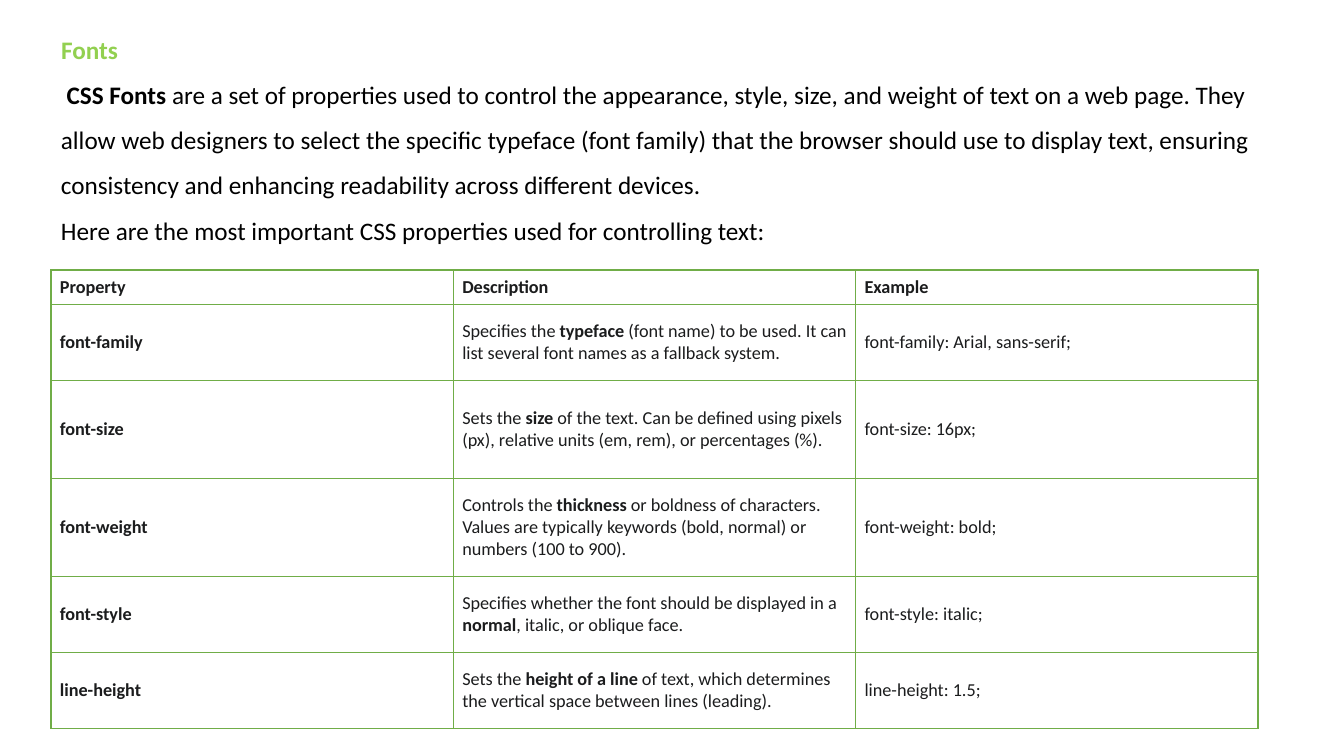
import pptx
import pptx.util
import pptx.dml.color
import pptx.enum.text
import pptx.oxml
import pptx.oxml.ns

TITLE = "Fonts"
INTRO = [
    " **CSS Fonts** are a set of properties used to control the appearance, style, size, "
    "and weight of text on a web page. They allow web designers to select the specific "
    "typeface (font family) that the browser should use to display text, ensuring "
    "consistency and enhancing readability across different devices.",
    "Here are the most important CSS properties used for controlling text:",
]
ROWS = [
    (34, "**Property**", "**Description**", "**Example**"),
    (76, "**font-family**",
     "Specifies the **typeface** (font name) to be used. It can list several font names "
     "as a fallback system.", "font-family: Arial, sans-serif;"),
    (98, "**font-size**",
     "Sets the **size** of the text. Can be defined using pixels (px), relative units "
     "(em, rem), or percentages (%).", "font-size: 16px;"),
    (98, "**font-weight**",
     "Controls the **thickness** or boldness of characters. Values are typically keywords "
     "(bold, normal) or numbers (100 to 900).", "font-weight: bold;"),
    (76, "**font-style**",
     "Specifies whether the font should be displayed in a **normal**, italic, or oblique "
     "face.", "font-style: italic;"),
    (76, "**line-height**",
     "Sets the **height of a line** of text, which determines the vertical space between "
     "lines (leading).", "line-height: 1.5;"),
]

FONT = "Calibri"
LIME = pptx.dml.color.RGBColor(0x92, 0xD0, 0x50)
GREEN = pptx.dml.color.RGBColor(0x70, 0xAD, 0x47)
BLACK = pptx.dml.color.RGBColor(0, 0, 0)
INK = pptx.dml.color.RGBColor(0x1B, 0x1C, 0x1D)

SLIDE_W, SLIDE_H = 1344, 756
LEFT, TITLE_TOP, TEXT_W = 51, 14, 1259
LINE_H, INTRO_H = 45, 192
TABLE_TOP, TABLE_W = 270, 1207
CELL = {"margin_left": 9, "margin_right": 9, "margin_top": 6, "margin_bottom": 6}


def px(n):
    return round(n * 914400 / 100.8)


def write(p, text, size, color):
    for i, part in enumerate(text.split("**")):
        if part:
            r = p.add_run()
            r.text = part
            font = {"name": FONT, "size": pptx.util.Pt(size), "bold": i % 2 == 1}
            for key, value in font.items():
                setattr(r.font, key, value)
            r.font.color.rgb = color


def setup(sp):
    tf = sp.text_frame
    box = {"word_wrap": True, "auto_size": pptx.enum.text.MSO_AUTO_SIZE.NONE,
           "vertical_anchor": pptx.enum.text.MSO_ANCHOR.TOP}
    for key, value in box.items():
        setattr(tf, key, value)
    p = tf.paragraphs[0]
    p.alignment = pptx.enum.text.PP_ALIGN.LEFT
    p.line_spacing = 1.5
    return p


def border(cell):
    tc_pr = cell._tc.get_or_add_tcPr()
    for i, side in enumerate(("lnL", "lnR", "lnT", "lnB")):
        tc_pr.insert(i, pptx.oxml.parse_xml(
            f'<a:{side} {pptx.oxml.ns.nsdecls("a")} w="{pptx.util.Pt(1)}">'
            f'<a:solidFill><a:srgbClr val="{GREEN}"/></a:solidFill></a:{side}>'))


def add_text(s):
    title = s.shapes.title
    frame = {"left": LEFT, "top": TITLE_TOP, "width": TEXT_W, "height": LINE_H + 10}
    for key, value in frame.items():
        setattr(title, key, px(value))
    write(setup(title), f"**{TITLE}**", 18, LIME)

    intro = s.shapes.add_textbox(px(LEFT), px(TITLE_TOP + LINE_H), px(TEXT_W), px(INTRO_H))
    p = setup(intro)
    for i, line in enumerate(INTRO):
        if i:
            p.add_line_break()
        write(p, line, 18, BLACK)


def add_properties(s):
    cols = len(ROWS[0]) - 1
    height = sum(row[0] for row in ROWS)
    table = s.shapes.add_table(len(ROWS), cols, px(LEFT), px(TABLE_TOP),
                               px(TABLE_W), px(height)).table
    table.horz_banding = False
    for col in table.columns:
        col.width = px(TABLE_W / cols)
    for row, (row_h, *texts) in zip(table.rows, ROWS):
        row.height = px(row_h)
        for cell, text in zip(row.cells, texts):
            for key, value in CELL.items():
                setattr(cell, key, px(value))
            cell.vertical_anchor = pptx.enum.text.MSO_ANCHOR.MIDDLE
            cell.fill.background()
            border(cell)
            write(cell.text_frame.paragraphs[0], text, 13, INK)


def main():
    prs = pptx.Presentation()
    prs.slide_width, prs.slide_height = px(SLIDE_W), px(SLIDE_H)
    s = prs.slides.add_slide(prs.slide_layouts[5])
    add_text(s)
    add_properties(s)
    prs.save("out.pptx")


if __name__ == "__main__":
    main()
